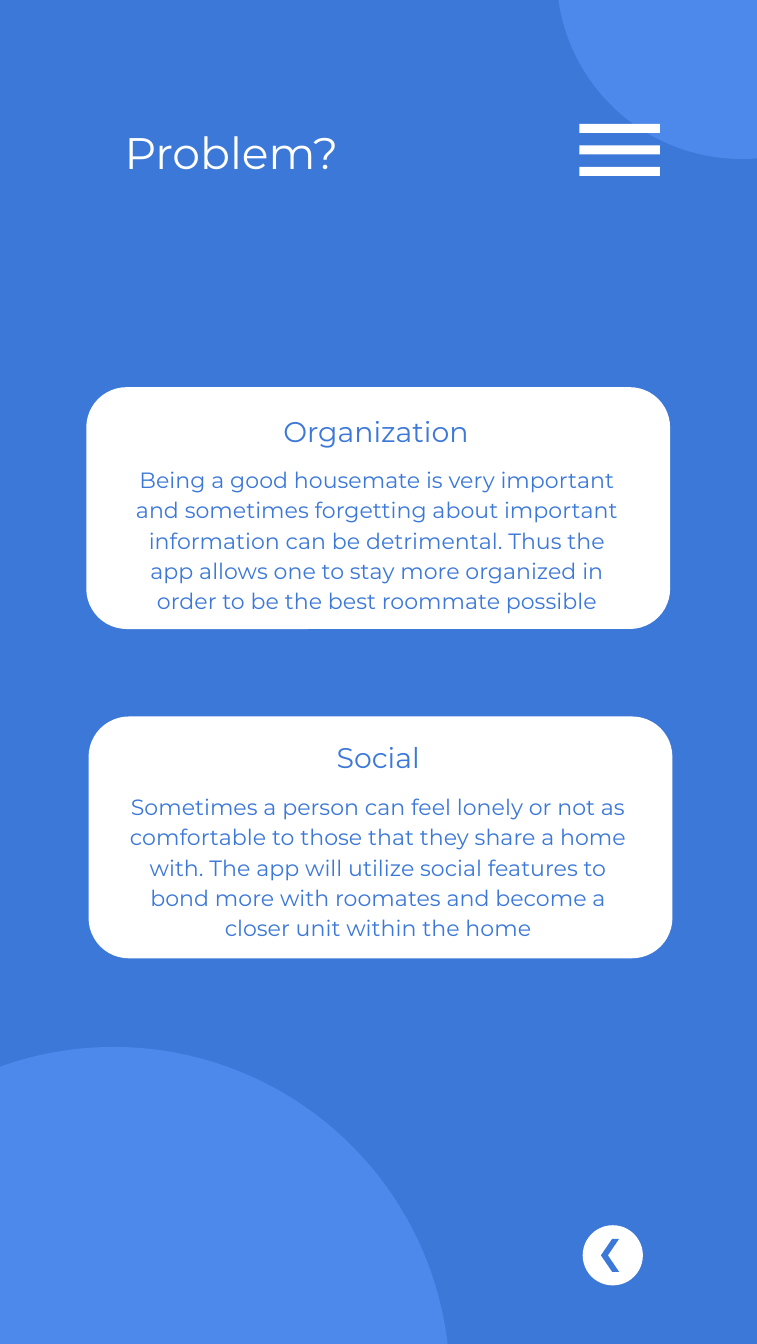
from pptx import Presentation
from pptx.dml.color import RGBColor
from pptx.enum.shapes import MSO_SHAPE as SHAPE
from pptx.enum.text import MSO_ANCHOR as ANCHOR, PP_ALIGN as ALIGN
from pptx.util import Inches, Pt

BLUE, LIGHT_BLUE, WHITE = "3C78D8", "4D89EA", "FFFFFF"


def color(value):
    return RGBColor.from_string(value)


class Screen:
    font = "Montserrat"
    inset = Inches(0.1)

    def __init__(self, slide):
        self.s = slide

    def background(self, fill):
        bg = self.s.background.fill
        bg.solid()
        bg.fore_color.rgb = color(fill)

    def shape(self, kind, x, y, w, h, fill, adj=None, parent=None):
        shapes = (parent or self.s).shapes
        sp = shapes.add_shape(kind, Inches(x), Inches(y), Inches(w), Inches(h))
        sp.shadow.inherit = False
        sp.fill.solid()
        sp.fill.fore_color.rgb = color(fill)
        sp.line.fill.background()
        if adj is not None:
            sp.adjustments[0] = adj
        return sp

    def circle(self, x, y, size, fill):
        return self.shape(SHAPE.OVAL, x, y, size, size, fill)

    def text(self, x, y, w, h, words, size, fill, centered=True):
        sp = self.s.shapes.add_textbox(Inches(x), Inches(y), Inches(w), Inches(h))
        tf = sp.text_frame
        tf.word_wrap = True
        tf.vertical_anchor = ANCHOR.TOP
        tf.margin_left = tf.margin_right = self.inset
        tf.margin_top = tf.margin_bottom = self.inset
        p = tf.paragraphs[0]
        if centered:
            p.alignment = ALIGN.CENTER
            p.line_spacing = 1.15
            p.space_after = Pt(16)
        r = p.add_run()
        r.text = words
        r.font.name = self.font
        r.font.size = Pt(size)
        r.font.color.rgb = color(fill)

    def menu(self, x, y, step):
        """Three stacked bars, grouped."""
        group = self.s.shapes.add_group_shape()
        for i in range(3):
            self.shape(SHAPE.RECTANGLE, x, y + i * step, 0.71, 0.08, WHITE,
                       parent=group)


CARDS = [
    # card x, y; heading x, y, width; body x, y, width; heading, body
    ((0.76, 3.41), (0.99, 3.5, 4.64), (1.01, 3.97, 4.62), "Organization",
     "Being a good housemate is very important and sometimes forgetting about "
     "important information can be detrimental. Thus the app allows one to stay "
     "more organized in order to be the best roommate possible"),
    ((0.78, 6.31), (1, 6.37, 4.66), (1, 6.85, 4.66), "Social",
     "Sometimes a person can feel lonely or not as comfortable to those that "
     "they share a home with. The app will utilize social features to bond more "
     "with roomates and become a closer unit within the home"),
]


def main():
    prs = Presentation()
    prs.slide_width, prs.slide_height = Inches(6.664), Inches(11.836)
    screen = Screen(prs.slides.add_slide(prs.slide_layouts[6]))
    screen.background(BLUE)

    for card, heading_box, body_box, heading, body in CARDS:
        screen.shape(SHAPE.ROUNDED_RECTANGLE, *card, 5.14, 2.13, WHITE, 0.167)
        screen.text(*heading_box, 0.56, heading, 18, BLUE)
        screen.text(*body_box, 1.59, body, 14, BLUE)

    screen.text(1, 1, 3.36, 1.34, "Problem?", 28, WHITE, centered=False)

    screen.circle(-1.96, 9.22, 5.92, LIGHT_BLUE)
    screen.circle(4.9, -1.86, 3.26, LIGHT_BLUE)
    screen.circle(5.13, 10.79, 0.53, WHITE)
    back = screen.shape(SHAPE.CHEVRON, 5.29, 10.91, 0.16, 0.29, BLUE, 0.616)
    back.rotation = 180
    screen.menu(5.1, 1.09, 0.19)

    prs.save("out.pptx")


if __name__ == "__main__":
    main()
